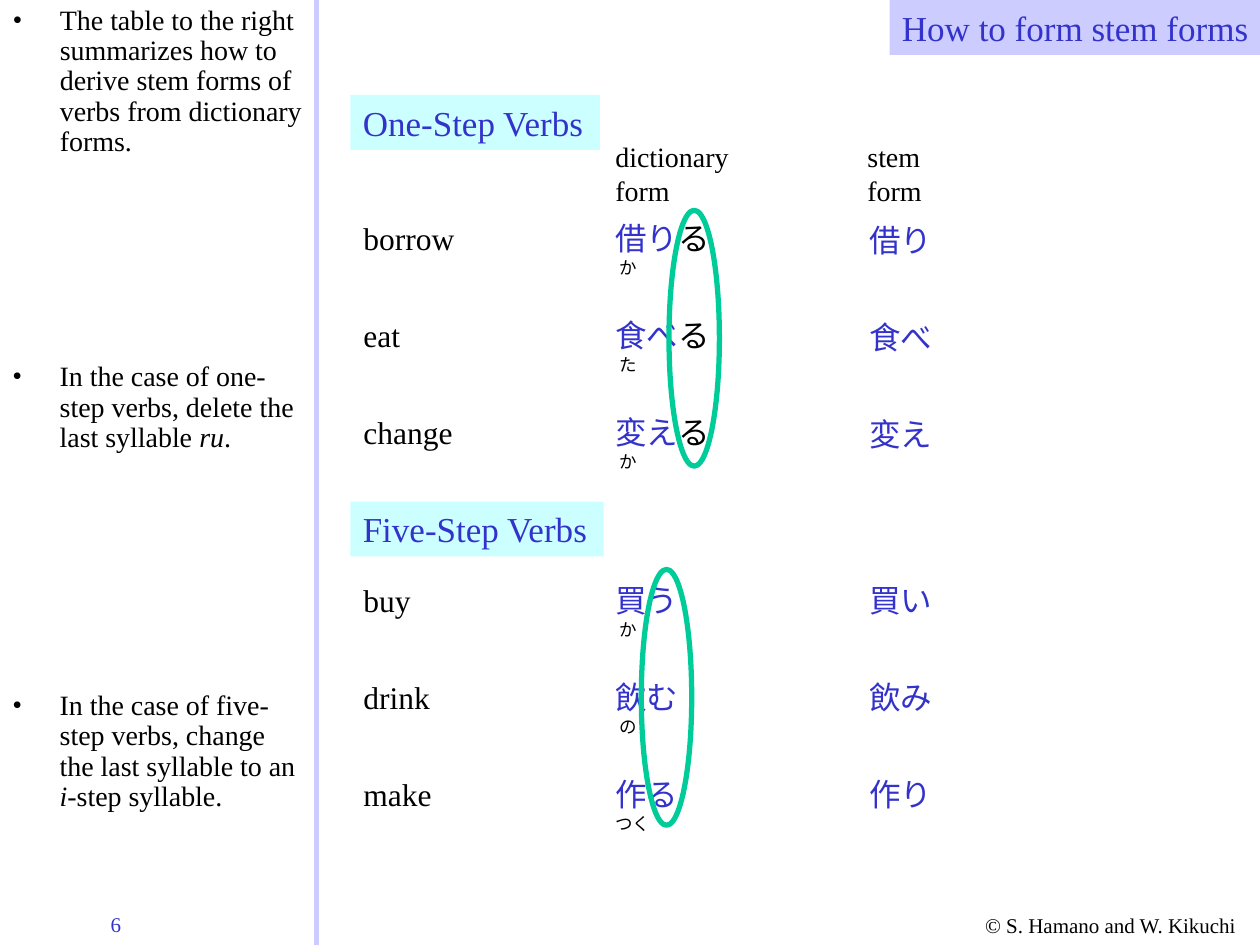
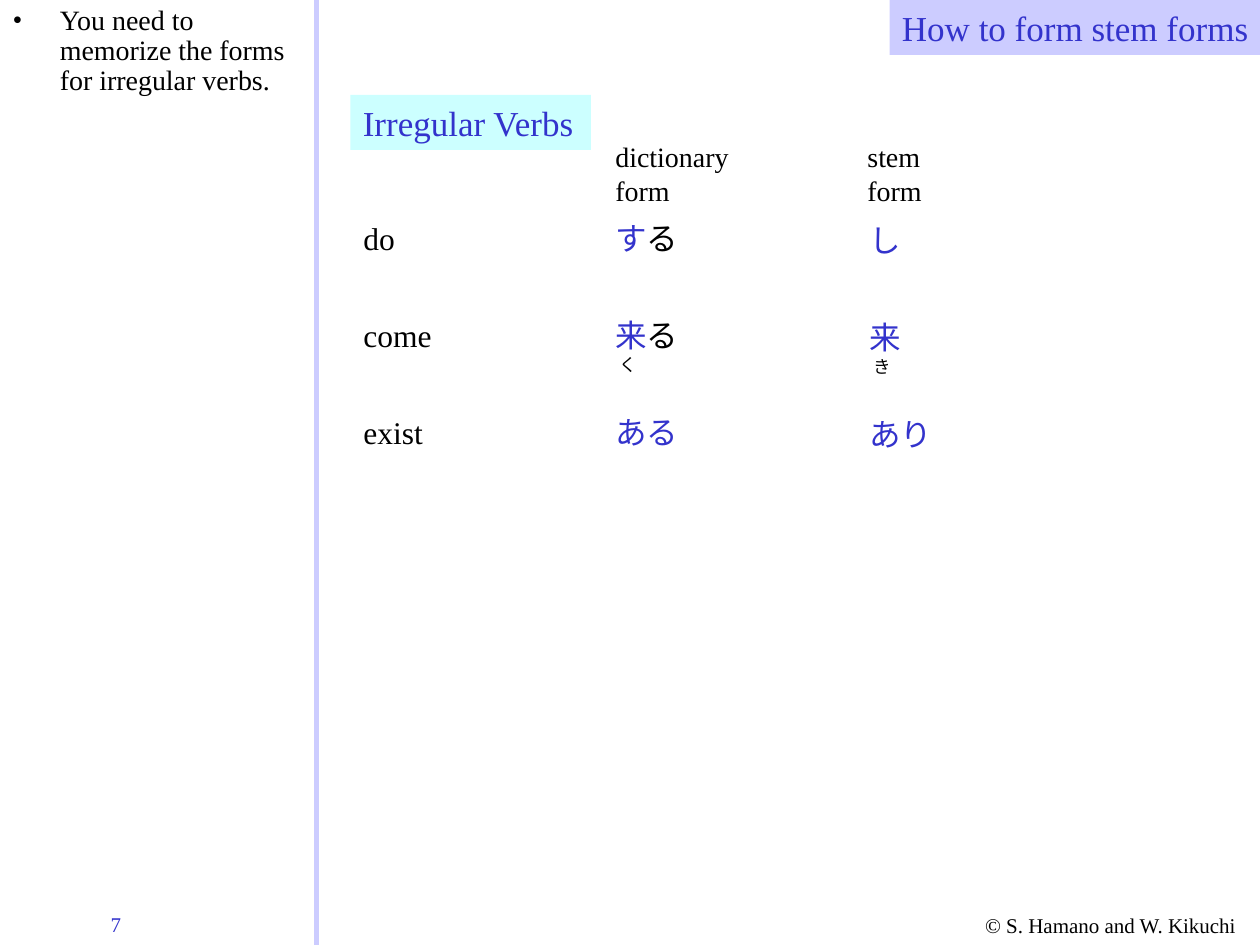
from lxml import etree
from pptx import Presentation
from pptx.dml.color import RGBColor
from pptx.enum import shapes, text
from pptx.oxml import ns
from pptx.util import Pt

BLUE = RGBColor(0x33, 0x33, 0xCC)
BLACK = RGBColor(0, 0, 0)
LAVENDER = RGBColor(0xCC, 0xCC, 0xFF)
PALE_CYAN = RGBColor(0xCC, 0xFF, 0xFF)
GREEN = RGBColor(0x00, 0xCC, 0x99)
LATIN, JAPANESE = "Times New Roman", "Noto Sans CJK JP"

TITLE = "How to form stem forms"
COPYRIGHT = "© S. Hamano and W. Kikuchi"
FIRST_NUMBER = 6
HEADINGS = ["\tdictionary\tstem", "\tform\tform"]

# Notes: top, height, runs as (words, italic).
# Verbs: English, kept part, dropped part, reading, stem, stem reading.
SLIDES = [
    {
        "notes": [
            (0, 97.2, [("The table to the right summarizes how to derive stem "
                        "forms of verbs from dictionary forms.", False)]),
            (203.8, 64, [("In the case of one-step verbs, delete the last syllable ", False),
                         ("ru", True), (".", False)]),
            (391.7, 90.7, [("In the case of five-step verbs, change the last syllable to an ", False),
                           ("i", True), ("-step syllable.", False)]),
        ],
        "groups": [
            {"label": "One-Step Verbs", "label_top": 54.3, "label_width": 142.6,
             "top": 122.4, "headings": HEADINGS, "ring": (382.3, 120.2),
             "verbs": [("borrow", "借り", "る", " か", "借り", ""),
                       ("eat", "食べ", "る", " た", "食べ", ""),
                       ("change", "変え", "る", " か", "変え", "")]},
            {"label": "Five-Step Verbs", "label_top": 286.6, "label_width": 144.7,
             "top": 328.3, "headings": [], "ring": (366.5, 325.4),
             "verbs": [("buy", "買う", "", " か", "買い", ""),
                       ("drink", "飲む", "", " の", "飲み", ""),
                       ("make", "作る", "", "つく", "作り", "")]},
        ],
    },
    {
        "notes": [(0, 67, [("You need to memorize the forms for irregular verbs.", False)])],
        "groups": [
            {"label": "Irregular Verbs", "label_top": 54.3, "label_width": 137.5,
             "top": 122.4, "headings": HEADINGS, "ring": None,
             "verbs": [("do", "す", "る", "", "し", ""),
                       ("come", "来", "る", " く", "来", " き"),
                       ("exist", "ある", "", "", "あり", "")]},
        ],
    },
]

WIDTH, HEIGHT = 720, 540
NOTES_WIDTH = 180.7
VERBS_LEFT, VERBS_WIDTH = 200.6, 382
STEMS_LEFT, STEMS_WIDTH = 489.6, 80
LABEL_HEIGHT = 31.4
TAB_STOPS = (144, 288)
RING_SIZE = (28.8, 146.2)
HEADING_LINE, VERB_LINE, READING_LINE = 19.4, 22, 12
HEADING_GAP, ROW_GAP = 6.7, 21.4
HEADINGS_RISE = 46.6
GROUP_HEIGHT = 3 * (VERB_LINE + READING_LINE) + 2 * ROW_GAP + 7.2

VERB = {"size": Pt(18), "name": LATIN, "color": BLACK}
KANA = {**VERB, "name": JAPANESE}
STEM = {**KANA, "color": BLUE}
READING = {**KANA, "size": Pt(10)}
NOTE = {**VERB, "size": Pt(16)}
LABEL = {"size": Pt(20), "name": LATIN, "color": BLUE}
FOOTER = {**VERB, "size": Pt(12)}
NUMBER = {**FOOTER, "color": BLUE}


def place(shape, left, top, width, height):
    box = {"left": left, "top": top, "width": width, "height": height}
    for attribute, points in box.items():
        setattr(shape, attribute, Pt(points))


def prepare_frame(shape, wrap=True):
    frame = shape.text_frame
    settings = {"word_wrap": wrap, "auto_size": text.MSO_AUTO_SIZE.NONE,
                "vertical_anchor": text.MSO_ANCHOR.TOP}
    for attribute, value in settings.items():
        setattr(frame, attribute, value)
    return frame


def add_textbox(slide, left, top, width, height):
    return prepare_frame(slide.shapes.add_textbox(*map(Pt, (left, top, width, height))))


def write(frame, runs, **settings):
    """Fill the frame's empty first paragraph, or add one, with (words, format) runs."""
    paragraph = frame.paragraphs[0]
    if paragraph.runs:
        paragraph = frame.add_paragraph()
    settings = {"space_before": Pt(0), "alignment": text.PP_ALIGN.LEFT, **settings}
    for attribute, value in settings.items():
        setattr(paragraph, attribute, value)
    for words, style in runs:
        if not words:
            continue
        run = paragraph.add_run()
        run.text = words
        for attribute, value in style.items():
            if attribute == "color":
                run.font.color.rgb = value
            else:
                setattr(run.font, attribute, value)
        if style["name"] == JAPANESE:
            etree.SubElement(run.font._element, ns.qn("a:ea"), typeface=JAPANESE)
    return paragraph


def add_tabs(paragraph):
    tabs = etree.SubElement(paragraph._p.get_or_add_pPr(), ns.qn("a:tabLst"))
    for stop in TAB_STOPS:
        etree.SubElement(tabs, ns.qn("a:tab"), pos=str(Pt(stop)), algn="l")


def add_bullet(paragraph):
    properties = paragraph._p.get_or_add_pPr()
    properties.set("marL", str(Pt(27)))
    properties.set("indent", str(Pt(-27)))
    color = etree.SubElement(properties, ns.qn("a:buClr"))
    etree.SubElement(color, ns.qn("a:srgbClr"), val=str(BLACK))
    etree.SubElement(properties, ns.qn("a:buFont"), typeface=LATIN)
    etree.SubElement(properties, ns.qn("a:buChar"), char="•")


def add_frame(slide, number):
    """Add the title, divider and footer that every slide has."""
    title = slide.shapes.title
    place(title, 508.3, 0, 212.4, LABEL_HEIGHT)
    title.fill.solid()
    title.fill.fore_color.rgb = LAVENDER
    title_frame = prepare_frame(title, wrap=False)
    title_frame.margin_left = 0
    write(title_frame, [(TITLE, LABEL)], alignment=text.PP_ALIGN.RIGHT)

    divider = slide.shapes.add_connector(
        shapes.MSO_CONNECTOR.STRAIGHT, Pt(NOTES_WIDTH), 0, Pt(NOTES_WIDTH), Pt(HEIGHT))
    divider.line.color.rgb = LAVENDER
    divider.line.width = Pt(3)
    etree.SubElement(divider._element.spPr, ns.qn("a:effectLst"))

    write(add_textbox(slide, 555.8, 517.7, 164.2, 21.8), [(COPYRIGHT, FOOTER)])
    write(add_textbox(slide, 56.2, 517.3, 64, 21.8), [(str(number), NUMBER)])


def add_notes(slide, notes):
    body = slide.placeholders[1]
    for index, (top, height, runs) in enumerate(notes):
        area = (0, top, NOTES_WIDTH, height)
        if index == 0:
            place(body, *area)
            frame = prepare_frame(body)
        else:
            frame = add_textbox(slide, *area)
        styled = [(words, {**NOTE, "italic": italic}) for words, italic in runs]
        add_bullet(write(frame, styled, line_spacing=0.9))


def write_rows(frame, rows, first_gap):
    """Write (runs, reading) rows at an even pitch, with or without a reading."""
    gap = first_gap
    for runs, reading in rows:
        add_tabs(write(frame, runs, line_spacing=Pt(VERB_LINE), space_before=Pt(gap)))
        gap = ROW_GAP
        if reading:
            add_tabs(write(frame, [(reading, READING)], line_spacing=Pt(READING_LINE)))
        else:
            gap += READING_LINE


def add_label(slide, group):
    label = slide.shapes.add_shape(shapes.MSO_SHAPE.RECTANGLE, 0, 0, 0, 0)
    place(label, 200.2, group["label_top"], group["label_width"], LABEL_HEIGHT)
    label.shadow.inherit = False
    label.fill.solid()
    label.fill.fore_color.rgb = PALE_CYAN
    label.line.fill.background()
    write(prepare_frame(label, wrap=False), [(group["label"], LABEL)])


def add_ring(slide, left, top):
    ring = slide.shapes.add_shape(shapes.MSO_SHAPE.OVAL, 0, 0, 0, 0)
    place(ring, left, top, *RING_SIZE)
    ring.shadow.inherit = False
    ring.fill.background()
    ring.line.color.rgb = GREEN
    ring.line.width = Pt(3)


def add_group(slide, group):
    add_label(slide, group)
    headings, top = group["headings"], group["top"]
    rise, gap = (HEADINGS_RISE, HEADING_GAP) if headings else (0, 0)

    verbs = add_textbox(slide, VERBS_LEFT, top - rise, VERBS_WIDTH, GROUP_HEIGHT + rise)
    for heading in headings:
        add_tabs(write(verbs, [(heading, NOTE)], line_spacing=Pt(HEADING_LINE)))
    write_rows(verbs, [([(english + "\t", VERB), (kept, STEM), (dropped, KANA)],
                        reading and "\t" + reading)
                       for english, kept, dropped, reading, *_ in group["verbs"]], gap)

    stems = add_textbox(slide, STEMS_LEFT, top, STEMS_WIDTH, GROUP_HEIGHT)
    write_rows(stems, [([(stem, STEM)], reading)
                       for *_, stem, reading in group["verbs"]], 0)
    if group["ring"]:
        add_ring(slide, *group["ring"])


def main():
    presentation = Presentation()
    presentation.slide_width, presentation.slide_height = Pt(WIDTH), Pt(HEIGHT)
    for number, content in enumerate(SLIDES, FIRST_NUMBER):
        slide = presentation.slides.add_slide(presentation.slide_layouts[1])
        add_frame(slide, number)
        add_notes(slide, content["notes"])
        for group in content["groups"]:
            add_group(slide, group)
    presentation.save("out.pptx")


if __name__ == "__main__":
    main()
